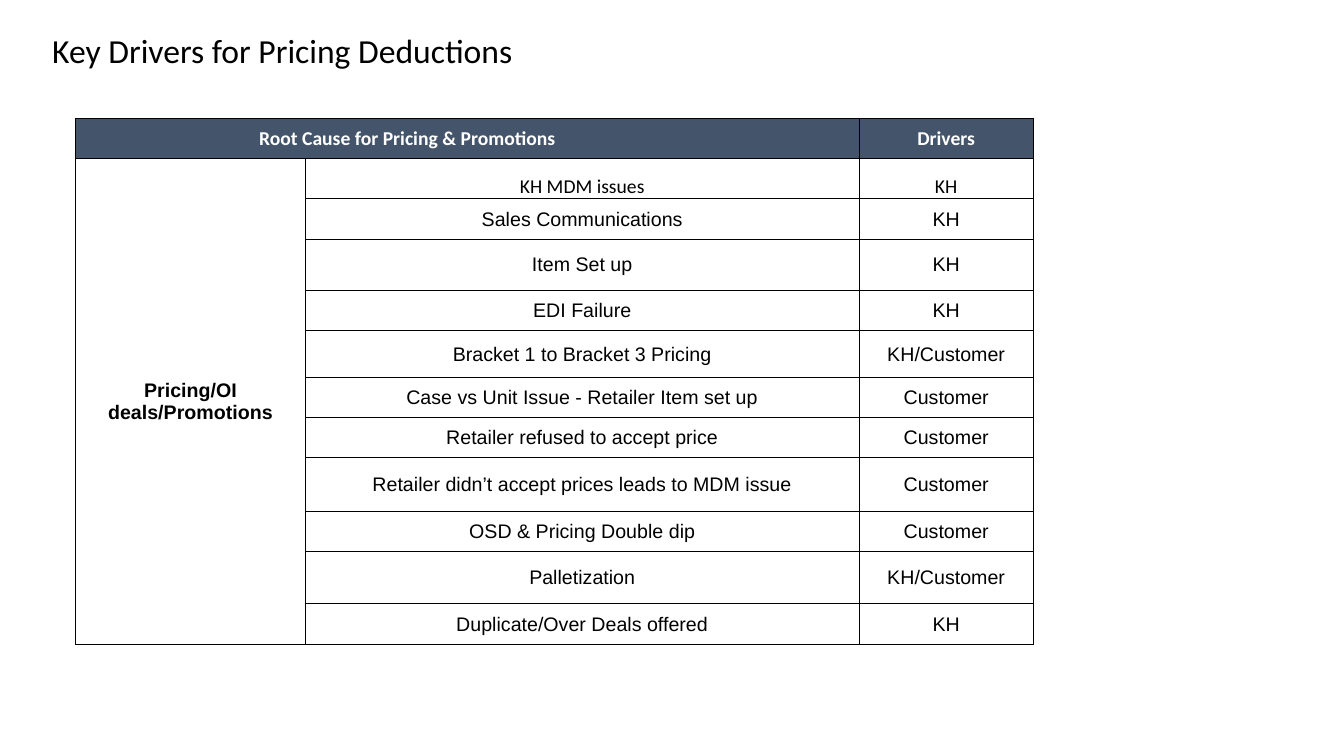
from lxml.etree import SubElement
from pptx import Presentation
from pptx.dml.color import RGBColor
from pptx.enum.text import MSO_ANCHOR as Anchor, PP_ALIGN as Align
from pptx.oxml.ns import qn
from pptx.util import Emu, Pt

EMU_PER_PX = 9144  # 100 px to the inch
COLORS = {"text": "000000", "border": "000000", "header": "44546A",
          "header_text": "FFFFFF", "body": "FFFFFF"}

COLUMN_WIDTHS = [228, 549, 173]
HEADER_HEIGHT = 40
HEADER_INDENT = 182
CATEGORY = "Pricing/OI deals/Promotions"
# Root cause, driver, row height
CAUSES = [
    ("KH MDM issues", "KH", 40),
    ("Sales Communications", "KH", 40),
    ("Item Set up", "KH", 51),
    ("EDI Failure", "KH", 40),
    ("Bracket 1 to Bracket 3 Pricing", "KH/Customer", 46),
    ("Case vs Unit Issue - Retailer Item set up", "Customer", 40),
    ("Retailer refused to accept price", "Customer", 40),
    ("Retailer didn’t accept prices leads to MDM issue", "Customer", 53),
    ("OSD & Pricing Double dip", "Customer", 40),
    ("Palletization", "KH/Customer", 52),
    ("Duplicate/Over Deals offered", "KH", 40),
]


def px(length):
    return Emu(length * EMU_PER_PX)


def set_font(para, name, size, color, bold=False):
    font = para.font
    font.name, font.size, font.bold = name, Pt(size), bold
    font.color.rgb = RGBColor.from_string(COLORS[color])


def add_title(page, text):
    box = page.shapes.add_textbox(px(42), px(25), px(933), px(50))
    box.text_frame.word_wrap = True
    para = box.text_frame.paragraphs[0]
    para.text = text
    set_font(para, "Calibri", 24, "text")


def add_borders(cell):
    properties = cell._tc.get_or_add_tcPr()
    for side in ("lnL", "lnR", "lnT", "lnB"):
        line = SubElement(properties, qn(f"a:{side}"), w=str(Pt(0.5)))
        fill = SubElement(line, qn("a:solidFill"))
        SubElement(fill, qn("a:srgbClr"), val=COLORS["border"])


def fill_cell(cell, text, font="Arial", color="text", fill="body", bold=False,
              anchor=Anchor.MIDDLE):
    add_borders(cell)
    cell.fill.solid()
    cell.fill.fore_color.rgb = RGBColor.from_string(COLORS[fill])
    cell.margin_left = cell.margin_right = cell.margin_top = px(1)
    cell.margin_bottom = 0
    cell.vertical_anchor = anchor
    para = cell.text_frame.paragraphs[0]
    para.text = text
    para.alignment = Align.CENTER
    set_font(para, font, 14, color, bold)


def add_header(table):
    for column, text in enumerate(("Root Cause for Pricing & Promotions", "", "Drivers")):
        fill_cell(table.cell(0, column), text, "Calibri", "header_text", "header", True)
    root_cause = table.cell(0, 0)
    root_cause.merge(table.cell(0, 1))
    root_cause.margin_left = px(HEADER_INDENT)
    root_cause.text_frame.paragraphs[0].alignment = Align.LEFT


def add_drivers_table(page):
    heights = [HEADER_HEIGHT] + [height for _, _, height in CAUSES]
    table = page.shapes.add_table(len(heights), len(COLUMN_WIDTHS), px(75), px(117),
                                  px(sum(COLUMN_WIDTHS)), px(sum(heights))).table
    table.first_row = table.horz_banding = False
    for column, width in zip(table.columns, COLUMN_WIDTHS):
        column.width = px(width)
    for row, height in zip(table.rows, heights):
        row.height = px(height)

    add_header(table)
    for row, (cause, driver, _) in enumerate(CAUSES, start=1):
        first = row == 1
        style = {"font": "Calibri", "anchor": Anchor.BOTTOM} if first else {}
        fill_cell(table.cell(row, 0), CATEGORY if first else "", bold=True)
        fill_cell(table.cell(row, 1), cause, **style)
        fill_cell(table.cell(row, 2), driver, **style)
    table.cell(1, 0).merge(table.cell(len(CAUSES), 0))


def main():
    deck = Presentation()
    deck.slide_width, deck.slide_height = px(1333), px(750)
    page = deck.slides.add_slide(deck.slide_layouts[6])
    add_title(page, "Key Drivers for Pricing Deductions")
    add_drivers_table(page)
    deck.save("out.pptx")


if __name__ == "__main__":
    main()
